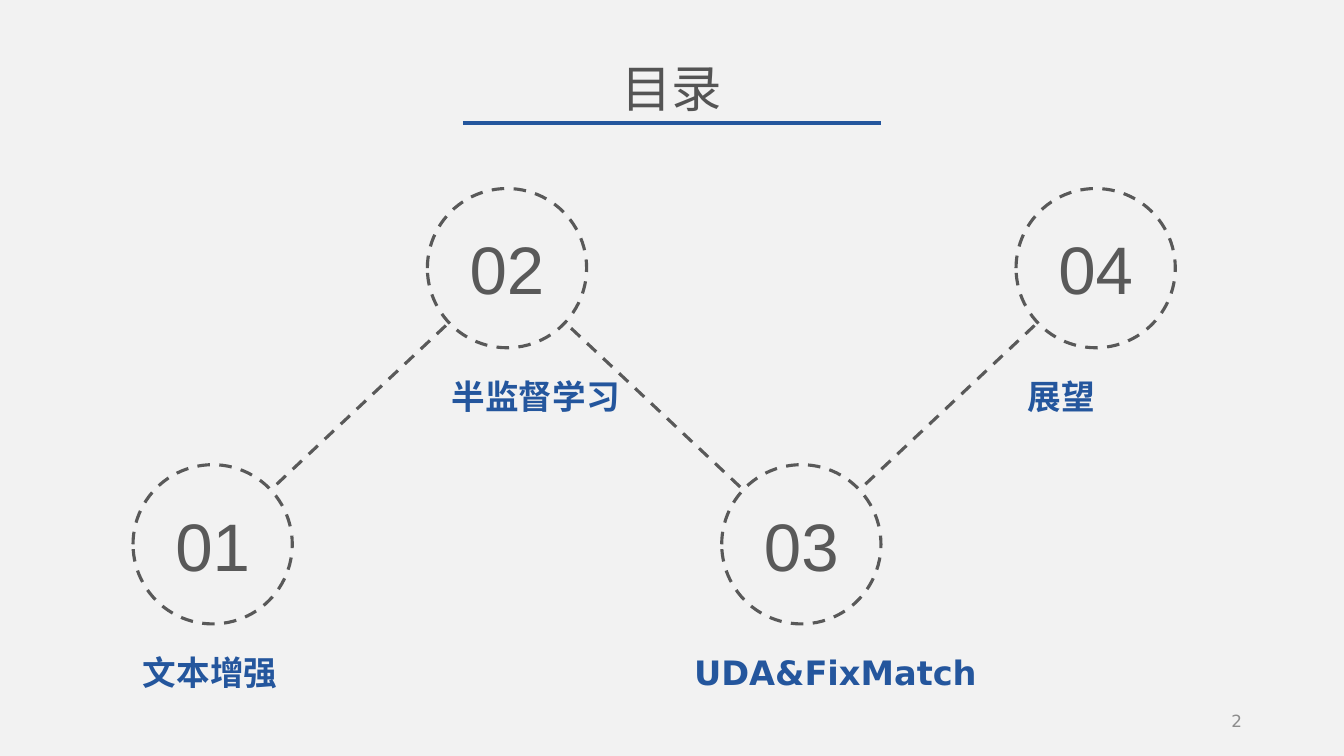
from dataclasses import dataclass
from itertools import pairwise

from lxml.etree import SubElement as Sub
from pptx import Presentation
from pptx.dml.color import RGBColor as Rgb
from pptx.enum.dml import MSO_LINE as Dash
from pptx.enum.shapes import MSO_CONNECTOR as Link, MSO_SHAPE as Shape
from pptx.enum.text import MSO_ANCHOR as Anchor, PP_ALIGN as Align
from pptx.oxml.ns import qn
from pptx.util import Inches, Pt

COLS, ROWS = 80, 45
WIDE, HIGH = Inches(13.33), Inches(7.5)


@dataclass(frozen=True)
class Theme:
    """Colours, fonts and type sizes of the deck."""
    back: str = "F2F2F2"
    ink: str = "545454"
    ring: str = "595959"
    blue: str = "24569D"
    pale: str = "8C8C8C"
    han: str = "Noto Sans CJK SC"
    sans: str = "DejaVu Sans"
    digit: str = "Arial"
    title: int = 36
    num: int = 48
    label: int = 24
    small: int = 12
    rule: float = 3.5
    dash: float = 2.25


THEME = Theme()
STOPS = [("01", "文本增强", 0), ("02", "半监督学习", 0.86),
         ("03", "UDA&FixMatch", -2.24), ("04", "展望", 0.1)]


def across(n):
    """Turn grid columns into a length."""
    return round(WIDE * n / COLS)


def down(n):
    """Turn grid rows into a length."""
    return round(HIGH * n / ROWS)


def place(box):
    """Turn a grid box into left, top, width and height."""
    x, y, w, h = box
    return across(x), down(y), across(w), down(h)


def write(frame, text, size, face, tint, align, bold=False):
    """Put one styled run into a text frame."""
    para = frame.paragraphs[0]
    para.alignment = align
    run = para.add_run()
    run.text = text
    font = run.font
    font.size, font.name, font.bold = Pt(size), face, bold
    font.color.rgb = Rgb.from_string(tint)
    Sub(font._element, qn("a:ea"), typeface=THEME.han)


def note(slide, box, text, size, face, tint, align=Align.LEFT, bold=False):
    """Add a wrapped text box."""
    frame = slide.shapes.add_textbox(*place(box)).text_frame
    frame.word_wrap = True
    frame.vertical_anchor = Anchor.MIDDLE
    write(frame, text, size, face, tint, align, bold)


def stroke(line, tint, width, dash=None):
    """Style a line."""
    line.color.rgb = Rgb.from_string(tint)
    line.width = Pt(width)
    if dash:
        line.dash_style = dash


def join(slide, start, end, tint, width, dash=None):
    """Draw a straight line between two grid points."""
    (x, y), (u, v) = start, end
    link = slide.shapes.add_connector(
        Link.STRAIGHT, across(x), down(y), across(u), down(v))
    stroke(link.line, tint, width, dash)
    Sub(link._element.spPr, qn("a:effectLst"))


def head(slide, box):
    """Draw the title with a rule along the foot of its box."""
    x, y, w, h = box
    note(slide, box, "目录", THEME.title, THEME.han, THEME.ink, Align.CENTER)
    join(slide, (x, y + h), (x + w, y + h), THEME.blue, THEME.rule)


def disc(slide, box, text):
    """Draw a dashed circle with its number."""
    ring = slide.shapes.add_shape(Shape.OVAL, *place(box))
    ring.shadow.inherit = False
    ring.fill.solid()
    ring.fill.fore_color.rgb = Rgb.from_string(THEME.back)
    stroke(ring.line, THEME.ring, THEME.dash, Dash.DASH)
    frame = ring.text_frame
    frame.vertical_anchor = Anchor.MIDDLE
    write(frame, text, THEME.num, THEME.digit, THEME.ring, Align.CENTER)


def trail(slide, box, size):
    """Draw the zigzag of stops, low and high in turn."""
    x, y, w, h = box
    step = (w - size) / (len(STOPS) - 1)
    spots = [(x + i * step, y if i % 2 else y + h - size)
             for i in range(len(STOPS))]
    mids = [(a + size / 2, b + size / 2) for a, b in spots]
    for start, end in pairwise(mids):
        join(slide, start, end, THEME.ring, THEME.dash, Dash.DASH)
    for (a, b), (num, name, shift) in zip(spots, STOPS):
        disc(slide, (a, b, size, size), num)
        note(slide, (a + shift, b + size + 1.35, 20, 3), name,
             THEME.label, THEME.sans, THEME.blue, bold=True)


def foot(slide, box):
    """Write the page number."""
    note(slide, box, "2", THEME.small, THEME.sans, THEME.pale, Align.RIGHT)


def main():
    """Build and save the contents slide."""
    deck = Presentation()
    deck.slide_width, deck.slide_height = WIDE, HIGH
    slide = deck.slides.add_slide(deck.slide_layouts[6])
    fill = slide.background.fill
    fill.solid()
    fill.fore_color.rgb = Rgb.from_string(THEME.back)
    head(slide, (27.55, 3.06, 24.9, 4.26))
    trail(slide, (7.92, 11.22, 62.04, 25.92), 9.48)
    foot(slide, (56.52, 41.7, 18, 2.4))
    deck.save("out.pptx")


if __name__ == "__main__":
    main()
